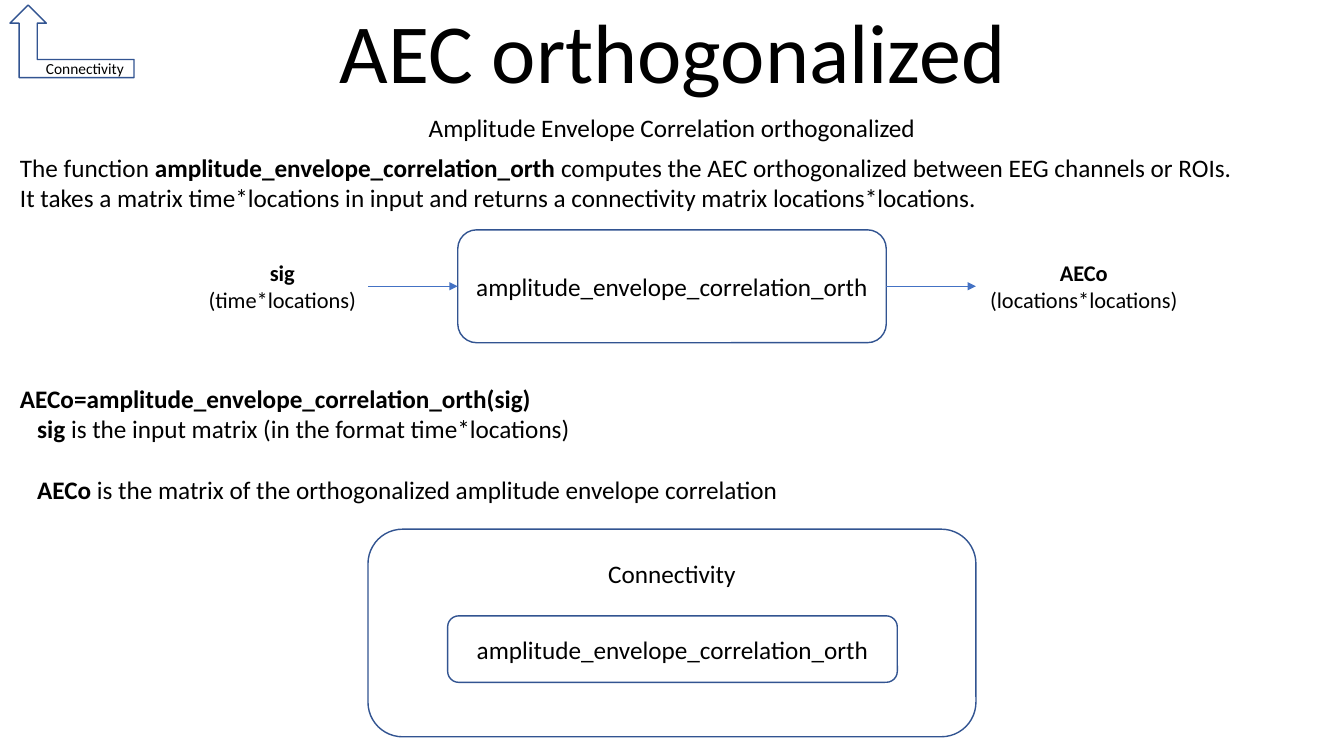
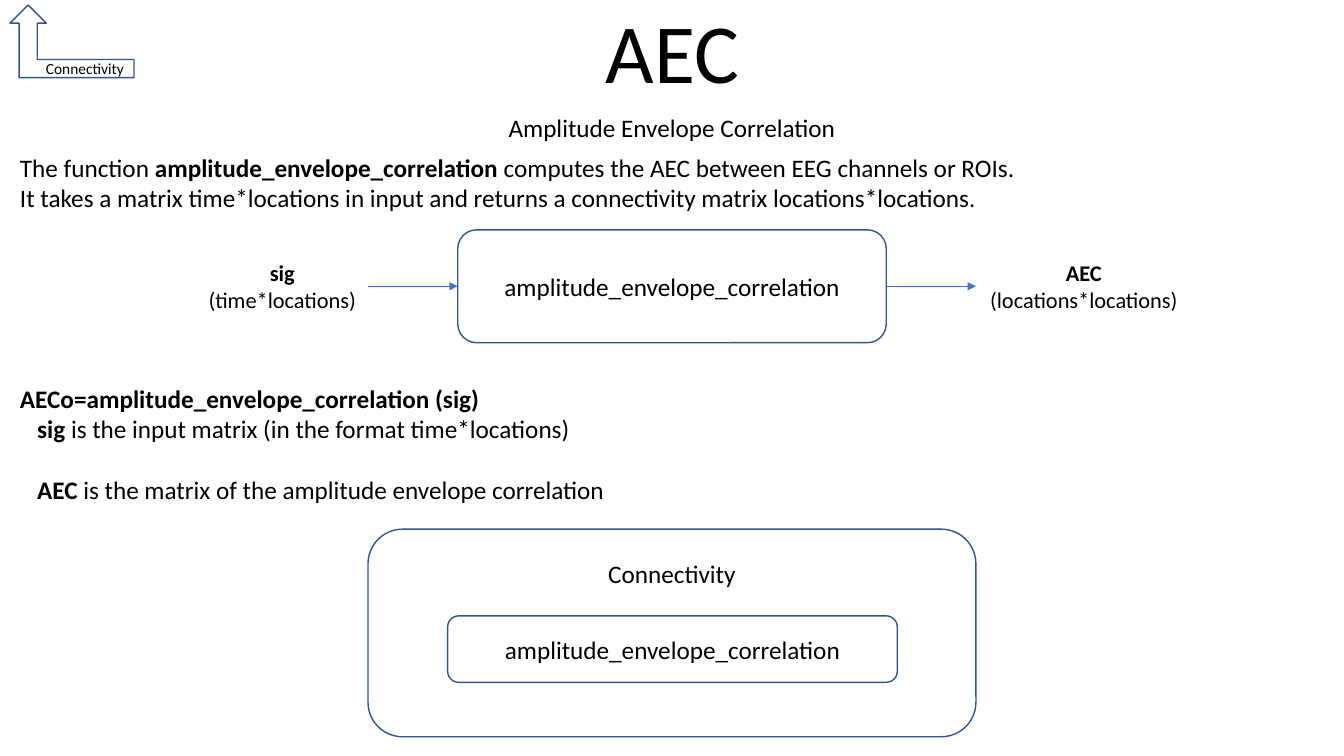
"""Build two slides documenting the amplitude envelope correlation functions."""
from pptx import Presentation
from pptx.dml.color import RGBColor
from pptx.enum.shapes import MSO_CONNECTOR as Connector, MSO_SHAPE as Shape
from pptx.enum.text import MSO_ANCHOR as Anchor, MSO_AUTO_SIZE as AutoSize, PP_ALIGN as Align
from pptx.oxml.ns import qn
from pptx.util import Inches, Pt
from lxml import etree

BLACK = RGBColor(0x00, 0x00, 0x00)
WHITE = RGBColor(0xFF, 0xFF, 0xFF)
OUTLINE = RGBColor(0x32, 0x54, 0x91)
ARROW = RGBColor(0x44, 0x72, 0xC4)
FONT = "Calibri"

PAGES = [
    {
        "title": "AEC orthogonalized",
        "subtitle": "Amplitude Envelope Correlation orthogonalized",
        "function": "amplitude_envelope_correlation_orth",
        "measure": "AEC orthogonalized",
        "call": "AECo=amplitude_envelope_correlation_orth(sig)",
        "output": "AECo",
        "meaning": "orthogonalized amplitude envelope correlation",
    },
    {
        "title": "AEC",
        "subtitle": "Amplitude Envelope Correlation",
        "function": "amplitude_envelope_correlation",
        "measure": "AEC",
        "call": "AECo=amplitude_envelope_correlation (sig)",
        "output": "AEC",
        "meaning": "amplitude envelope correlation",
    },
]


def write(shape, lines, size=18, align=Align.LEFT, anchor=Anchor.TOP):
    """Fill a shape with paragraphs, each a list of (text, bold) spans."""
    frame = shape.text_frame
    frame.word_wrap = True
    frame.auto_size = AutoSize.NONE
    frame.vertical_anchor = anchor
    for number, spans in enumerate(lines):
        para = frame.add_paragraph() if number else frame.paragraphs[0]
        para.alignment = align
        para.space_before = Pt(0)
        para.font.name = FONT
        para.font.size = Pt(size)
        para.font.color.rgb = BLACK
        for text, bold in spans:
            span = para.add_run()
            span.text = text
            span.font.bold = bold
    return frame.paragraphs


def add_box(shapes, kind, place, text, size=18, align=Align.CENTER, anchor=Anchor.MIDDLE):
    """Add a white outlined shape with one line of text."""
    box = shapes.add_shape(kind, *map(Inches, place))
    box.shadow.inherit = False
    box.fill.solid()
    box.fill.fore_color.rgb = WHITE
    box.line.color.rgb = OUTLINE
    box.line.width = Pt(1)
    write(box, [[(text, False)]], size, align, anchor)
    return box


deck = Presentation()
deck.slide_width = Inches(13.33)
deck.slide_height = Inches(7.5)

for content in PAGES:
    page = deck.slides.add_slide(deck.slide_layouts[0])
    shapes = page.shapes
    function, output = content["function"], content["output"]

    headings = [
        (shapes.title, "title", (1.67, 0, 10, 1.06), 60, Anchor.BOTTOM),
        (page.placeholders[1], "subtitle", (0, 1.06, 13.33, 0.4), 18, Anchor.TOP),
    ]
    for holder, key, place, size, anchor in headings:
        holder.left, holder.top, holder.width, holder.height = map(Inches, place)
        write(holder, [[(content[key], False)]], size, Align.CENTER, anchor)
    shapes.title.text_frame.paragraphs[0].line_spacing = 0.9

    summary = shapes.add_textbox(Inches(0.1), Inches(1.46), Inches(13.13), Inches(0.71))
    write(summary, [
        [("The function ", False), (f"{function} ", True),
         (f"computes the {content['measure']} between EEG channels or ROIs.", False)],
        [("It takes a matrix time*locations in input and returns "
          "a connectivity matrix locations*locations.", False)],
    ])

    usage = shapes.add_textbox(Inches(0.1), Inches(3.75), Inches(13.13), Inches(1.31))
    call, *arguments = write(usage, [
        [(content["call"], True)],
        [("sig ", True), ("is the input matrix (in the format time*locations)", False)],
        [(f"{output} ", True), (f"is the matrix of the {content['meaning']}", False)],
    ])
    for argument in arguments:
        argument._p.get_or_add_pPr().set("marL", str(Inches(0.17)))
    arguments[-1].space_before = Pt(22)

    function_box = add_box(shapes, Shape.ROUNDED_RECTANGLE, (4.54, 2.28, 4.25, 1.12), function)

    for start, end in [(3.65, 4.54), (8.79, 9.68)]:
        arrow = shapes.add_connector(
            Connector.STRAIGHT, Inches(start), Inches(2.84), Inches(end), Inches(2.84))
        arrow.line.color.rgb = ARROW
        arrow.line.width = Pt(0.5)
        etree.SubElement(arrow.line._get_or_add_ln(), qn("a:tailEnd"), type="triangle")
        etree.SubElement(arrow._element.spPr, qn("a:effectLst"))

    for left, width, name, dimensions in [
        (1.95, 1.7, "sig", "(time*locations)"),
        (9.68, 2.14, output, "(locations*locations)"),
    ]:
        label = shapes.add_textbox(Inches(left), Inches(2.52), Inches(width), Inches(0.64))
        write(label, [[(name, True)], [(dimensions, False)]], 16, Align.CENTER)

    family = shapes.add_group_shape().shapes
    family_box = add_box(family, Shape.ROUNDED_RECTANGLE, (3.65, 5.25, 6.03, 2.06),
                         "Connectivity", anchor=Anchor.TOP)
    family_box.text_frame.margin_top = Inches(0.19)
    add_box(family, Shape.ROUNDED_RECTANGLE, (4.44, 6.11, 4.46, 0.66), function)

    back_arrow = add_box(shapes, Shape.BENT_UP_ARROW, (0.1, 0.05, 1.23, 0.72),
                         "Connectivity", 11, Align.RIGHT)
    back_arrow._element.spPr.find(qn("a:xfrm")).set("flipH", "1")

deck.save("out.pptx")
